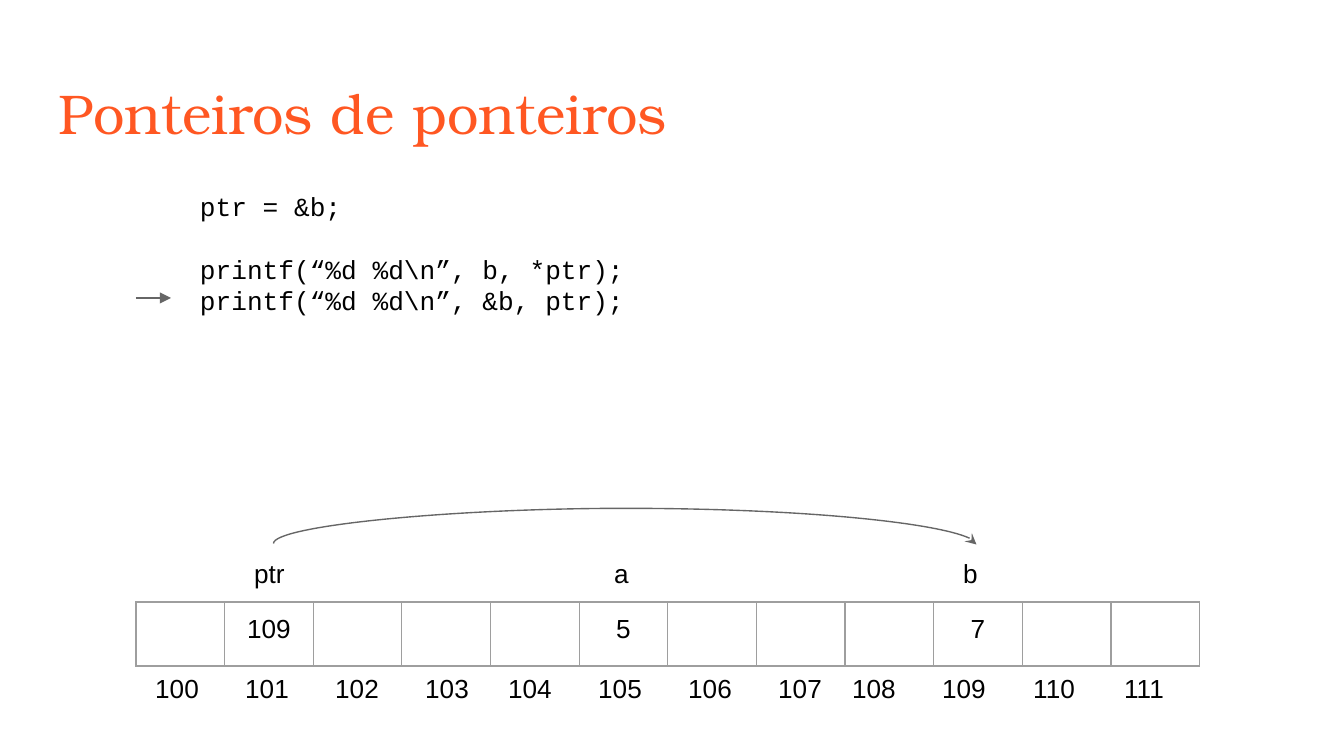
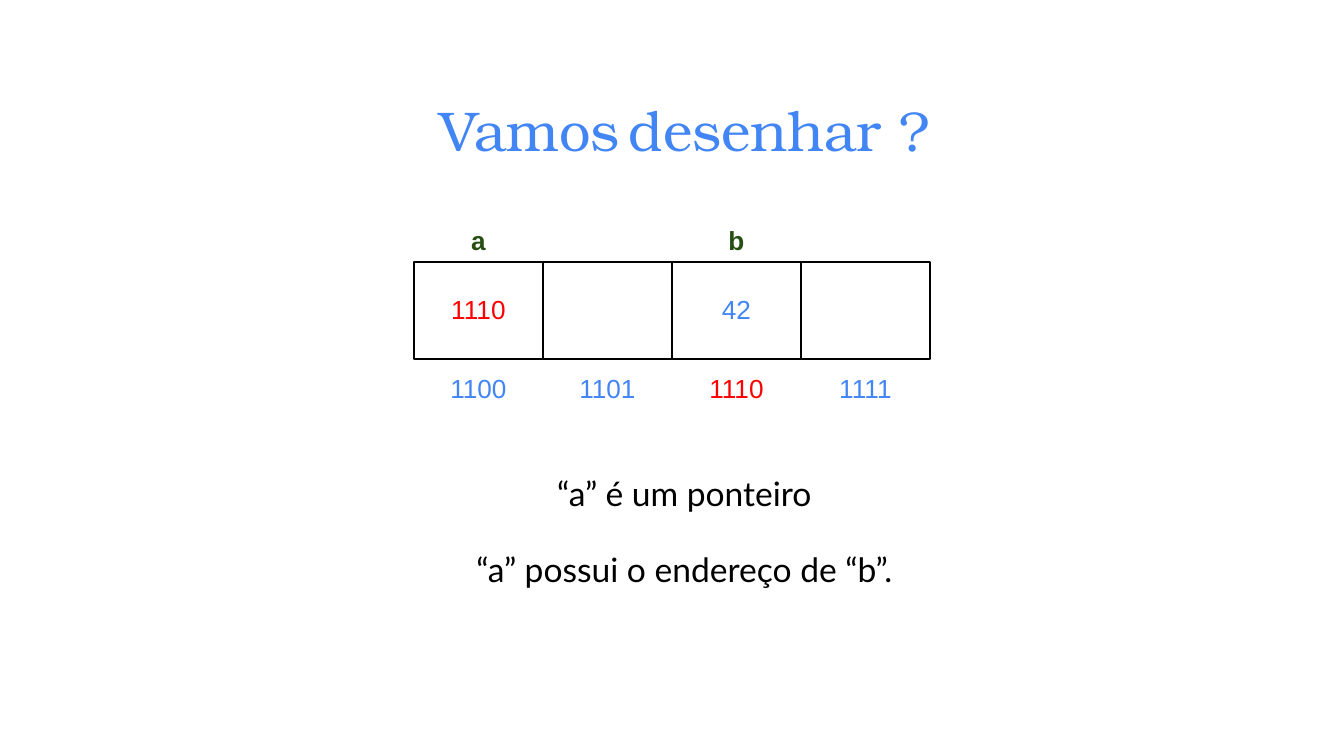
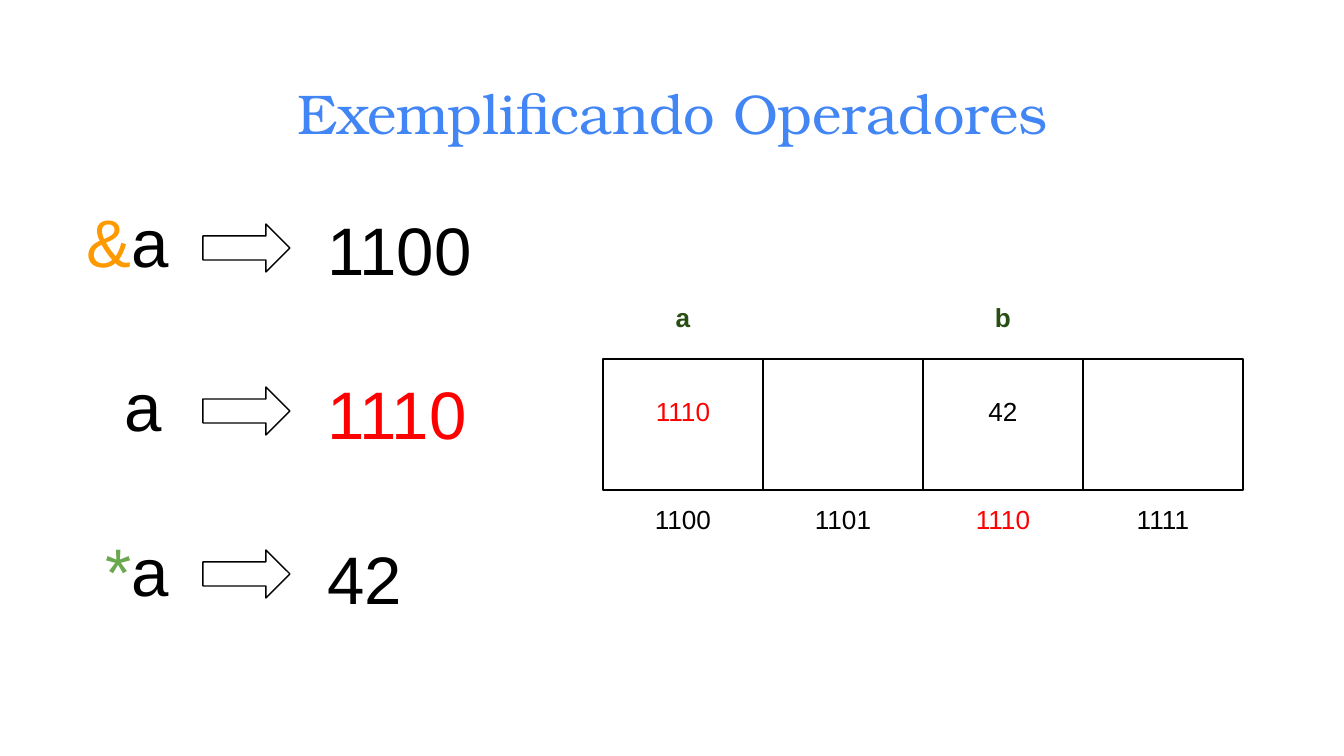
from dataclasses import dataclass

from lxml import etree
from pptx import Presentation
from pptx.dml.color import RGBColor
from pptx.enum.shapes import MSO_CONNECTOR, MSO_SHAPE
from pptx.enum.text import MSO_ANCHOR, MSO_AUTO_SIZE, PP_ALIGN
from pptx.oxml.ns import qn
from pptx.util import Emu, Pt

LEFT, CENTER = PP_ALIGN.LEFT, PP_ALIGN.CENTER
TOP, NO_FIT = MSO_ANCHOR.TOP, MSO_AUTO_SIZE.NONE
STRAIGHT, CURVE = MSO_CONNECTOR.STRAIGHT, MSO_CONNECTOR.CURVE
RECT, RIGHT_ARROW = MSO_SHAPE.RECTANGLE, MSO_SHAPE.RIGHT_ARROW
TITLE_ONLY, TITLE_AND_BODY = 5, 1
PX = 914400 / 134.4


@dataclass(frozen=True)
class Theme:
    black: str = "000000"
    orange: str = "FF5722"
    blue: str = "4285F4"
    red: str = "FF0000"
    amber: str = "FF9900"
    light_green: str = "6AA84F"
    dark_green: str = "274E13"
    arrow: str = "666666"
    grid: str = "9E9E9E"
    title_font: str = "TeX Gyre Bonum"
    body_font: str = "Lato"
    label_font: str = "Arial"
    code_font: str = "Courier New"
    title_size: int = 30
    body_size: int = 18
    label_size: int = 14
    big_size: int = 36
    line: float = 0.75
    inset: int = 13


T = Theme()


def emu(px):
    return Emu(round(px * PX))


@dataclass(frozen=True)
class Run:
    text: str
    color: str = T.black
    font: str = T.label_font
    size: int = T.label_size
    bold: bool = False


def title_run(text, color):
    return Run(text, color, T.title_font, T.title_size)


def body_run(text):
    return Run(text, font=T.body_font, size=T.body_size)


def code_run(text):
    return Run(text, font=T.code_font)


def big_run(text, color=T.black):
    return Run(text, color, size=T.big_size)


class Deck:
    """Holds the presentation, its theme and the slide being drawn."""

    def __init__(self, theme):
        self.theme = theme
        self.prs = Presentation()
        self.prs.slide_width, self.prs.slide_height = emu(1344), emu(756)
        self.s = None

    def new_slide(self, layout):
        self.s = self.prs.slides.add_slide(self.prs.slide_layouts[layout])

    def fill_text(self, tf, paragraphs, align=LEFT, gaps=(), spacing=None, indents=()):
        """Fill a frame; gaps and indents are points, one for each paragraph."""
        for i, runs in enumerate(paragraphs):
            p = tf.paragraphs[0] if i == 0 else tf.add_paragraph()
            p.alignment = align
            p.space_before = Pt(gaps[i] if gaps else 0)
            if spacing:
                p.line_spacing = spacing
            pPr = p._p.get_or_add_pPr()
            pPr.set("marL", str(Pt(indents[i] if indents else 0)))
            pPr.set("indent", "0")
            etree.SubElement(pPr, qn("a:buNone"))
            for run in runs:
                r = p.add_run()
                r.text = run.text
                r.font.name, r.font.size, r.font.bold = run.font, Pt(run.size), run.bold
                r.font.color.rgb = RGBColor.from_string(run.color)

    def frame(self, sp):
        tf = sp.text_frame
        tf.word_wrap, tf.auto_size, tf.vertical_anchor = True, NO_FIT, TOP
        tf.margin_left = tf.margin_right = emu(self.theme.inset)
        tf.margin_top = tf.margin_bottom = emu(self.theme.inset)
        return tf

    def placeholder(self, sp, box, paragraphs, **style):
        sp.left, sp.top, sp.width, sp.height = map(emu, box)
        self.fill_text(self.frame(sp), paragraphs, **style)

    def title(self, runs, align=CENTER, left=46, top=66):
        self.placeholder(self.s.shapes.title, (left, top, 1253, 85), [runs], align=align)

    def body(self, box, paragraphs, **style):
        self.placeholder(self.s.placeholders[1], box, paragraphs, **style)

    def text(self, box, paragraphs, **style):
        sp = self.s.shapes.add_textbox(*map(emu, box))
        self.fill_text(self.frame(sp), paragraphs, **style)

    def outline(self, kind, box):
        sp = self.s.shapes.add_shape(kind, *map(emu, box))
        sp.shadow.inherit = False
        sp.fill.background()
        sp.line.color.rgb = RGBColor.from_string(self.theme.black)
        sp.line.width = Pt(self.theme.line)

    def connector(self, kind, ends, head):
        c = self.s.shapes.add_connector(kind, *map(emu, ends))
        c.line.color.rgb = RGBColor.from_string(self.theme.arrow)
        c.line.width = Pt(self.theme.line)
        spPr = c._element.spPr
        etree.SubElement(spPr.get_or_add_ln(), qn("a:tailEnd"), type=head)
        etree.SubElement(spPr, qn("a:effectLst"))
        return c

    def arc(self, x1, x2, y, rise):
        """Curved arrow between two points at one height: a 1 px wide curve turned on its side."""
        mid, half = (x1 + x2) / 2, (x2 - x1) / 2
        c = self.connector(CURVE, (mid + 1, y - half, mid, y + half), "stealth")
        spPr = c._element.spPr
        spPr.find(qn("a:xfrm")).set("rot", str(270 * 60000))
        guides = spPr.find(qn("a:prstGeom")).get_or_add_avLst()
        etree.SubElement(guides, qn("a:gd"), name="adj1", fmla=f"val {-rise * 100000}")

    def table_row(self, box, values):
        left, top, width, height = map(emu, box)
        table = self.s.shapes.add_table(1, len(values), left, top, width, height).table
        table.first_row = table.horz_banding = False
        for cell, value in zip(table.rows[0].cells, values):
            cell.fill.background()
            cell.margin_left = cell.margin_right = cell.margin_top = emu(self.theme.inset)
            cell.margin_bottom = emu(8)
            self.cell_borders(cell)
            if value:
                self.fill_text(cell.text_frame, [[Run(value)]], align=CENTER)

    def cell_borders(self, cell):
        tcPr = cell._tc.get_or_add_tcPr()
        for i, side in enumerate(("a:lnL", "a:lnR", "a:lnT", "a:lnB")):
            ln = etree.Element(qn(side), w=str(Pt(self.theme.line)))
            fill = etree.SubElement(ln, qn("a:solidFill"))
            etree.SubElement(fill, qn("a:srgbClr"), val=self.theme.grid)
            tcPr.insert(i, ln)

    def memory(self, box, label_h, value_drop, address_h, color):
        """Four cells with names above, values inside and addresses below."""
        left, top, w, h = box
        pointer = "1110"
        cells = [("a", pointer, "1100"), ("", "", "1101"), ("b", "42", pointer), ("", "", "1111")]
        for i, (name, value, address) in enumerate(cells):
            x = left + i * w
            self.outline(RECT, (x, top, w, h))
            if name:
                label = Run(name, self.theme.dark_green, bold=True)
                self.text((x, top - label_h, w, label_h), [[label]], align=CENTER)
            for number, y, height in ((value, top + value_drop, h - value_drop),
                                      (address, top + h, address_h)):
                if number:
                    run = Run(number, self.theme.red if number == pointer else color)
                    self.text((x, y, w, height), [[run]], align=CENTER)


def pointers_to_pointers(deck):
    deck.new_slide(TITLE_ONLY)
    deck.title([title_run("Ponteiros de ponteiros", T.orange)], align=LEFT)
    for group, left in enumerate((140, 493, 837)):
        for i in range(4):
            address = str(100 + group * 4 + i)
            deck.text((left + i * 90, 659, 74, 73), [[Run(address)]], align=CENTER)
    values = {1: "109", 5: "5", 9: "7"}
    deck.table_row((136, 602, 1064, 64), [values.get(i, "") for i in range(12)])
    code = ["ptr = &b;", "printf(“%d %d\\n”, b, *ptr);", "printf(“%d %d\\n”, &b, ptr);"]
    deck.text((187, 177, 703, 363), [[code_run(line)] for line in code], gaps=(0, 17, 0))
    deck.connector(STRAIGHT, (136, 298, 171, 298), "triangle")
    for name, left, width in (("a", 601, 52), ("b", 950, 52), ("ptr", 241, 63)):
        deck.text((left, 544, width, 58), [[Run(name)]])
    deck.arc(273, 976, 544, 35)


def drawing_memory(deck):
    deck.new_slide(TITLE_AND_BODY)
    deck.title([title_run("Vamos", T.blue), body_run(" "), title_run("desenhar ?", T.blue)],
               left=58, top=82)
    facts = ["“a” é um ponteiro", "“a” possui o endereço de “b”."]
    deck.body((58, 454, 1253, 250), [[body_run(fact)] for fact in facts],
              align=CENTER, gaps=(0, 16), spacing=1.15)
    deck.memory((414, 262, 129, 97), 51, 18, 56, T.blue)


def operators(deck):
    deck.new_slide(TITLE_ONLY)
    deck.title([title_run("Exemplificando Operadores", T.blue)])
    expressions = [[big_run("&", T.amber), big_run("a")], [big_run("a")],
                   [big_run("*", T.light_green), big_run("a")]]
    gaps = (0, 45, 45)
    deck.text((74, 187, 113, 462), expressions, gaps=gaps, indents=(0, 20, 10))
    deck.memory((603, 359, 160, 131), 71, 23, 77, T.black)
    results = [[big_run("1100")], [big_run("1110", T.red)], [big_run("42")]]
    deck.text((314, 195, 277, 430), results, gaps=gaps)
    for i in range(3):
        deck.outline(RIGHT_ARROW, (203, 224 + i * 163, 87, 48))


def main():
    deck = Deck(T)
    pointers_to_pointers(deck)
    drawing_memory(deck)
    operators(deck)
    deck.prs.save("out.pptx")


if __name__ == "__main__":
    main()
